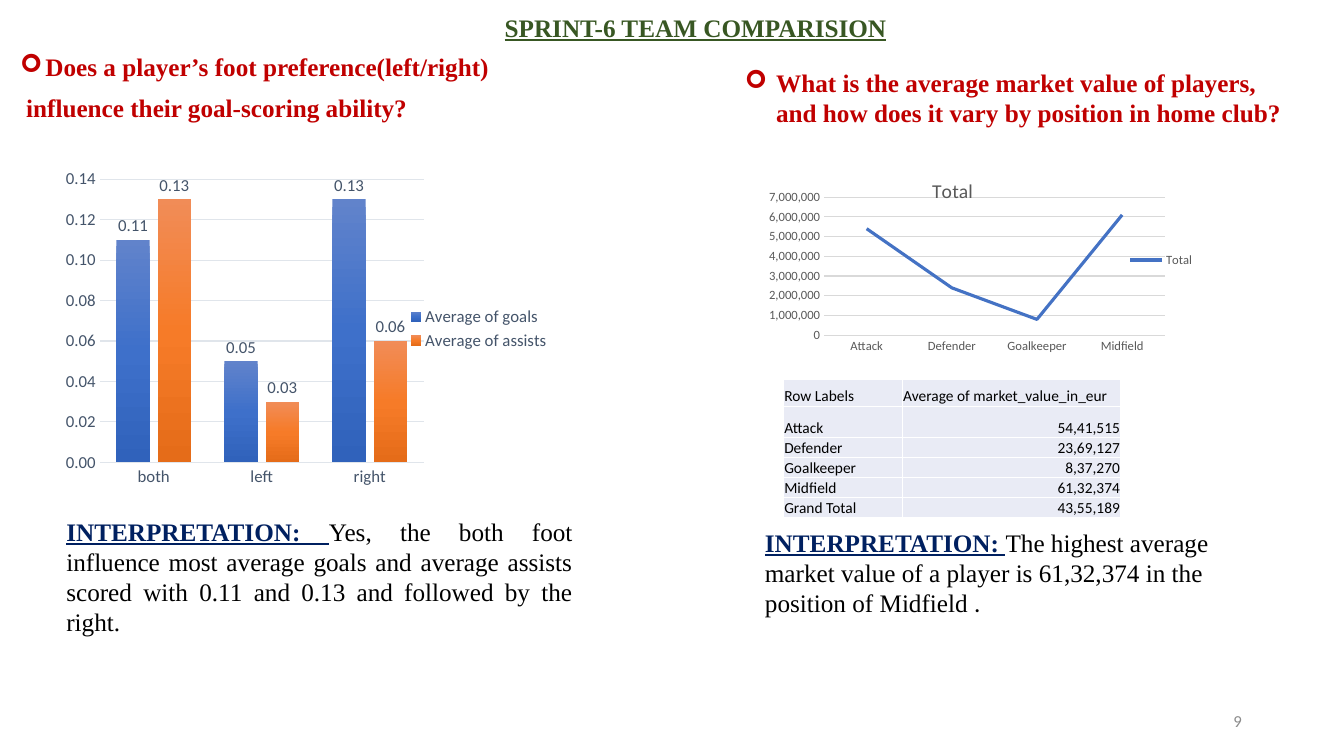
from copy import deepcopy
from dataclasses import dataclass

from lxml import etree
from pptx import Presentation
from pptx.chart.data import CategoryChartData
from pptx.dml.color import RGBColor
from pptx.enum.chart import XL_CHART_TYPE, XL_LABEL_POSITION, XL_LEGEND_POSITION, XL_TICK_MARK
from pptx.enum.text import MSO_ANCHOR, MSO_AUTO_SIZE, PP_ALIGN
from pptx.oxml.ns import qn
from pptx.util import Inches, Pt

COLUMNS, LINE = XL_CHART_TYPE.COLUMN_CLUSTERED, XL_CHART_TYPE.LINE
LEFT, CENTER, RIGHT, JUSTIFY = PP_ALIGN.LEFT, PP_ALIGN.CENTER, PP_ALIGN.RIGHT, PP_ALIGN.JUSTIFY
TOP, MIDDLE, BOTTOM = MSO_ANCHOR.TOP, MSO_ANCHOR.MIDDLE, MSO_ANCHOR.BOTTOM
NO_TICK = XL_TICK_MARK.NONE
SERIF, SANS = "Times New Roman", "Calibri"
GREEN, RED, NAVY, BLACK, GREY = "385723", "C00000", "002060", "000000", "8C8C8C"
WIDTH, HEIGHT = Inches(13.333), Inches(7.5)


@dataclass
class Place:
    """Left, top, width and height in percent of the slide."""
    left: float
    top: float
    width: float
    height: float

    def lengths(self) -> tuple[int, int, int, int]:
        return across(self.left), down(self.top), across(self.width), down(self.height)


@dataclass
class Span:
    text: str
    color: str = BLACK
    size: float = 18
    font: str = SERIF
    bold: bool = False
    underline: bool = False


@dataclass
class Para:
    spans: list[Span]
    align: PP_ALIGN = LEFT
    margin: float = 0
    bullet: str = ""
    line: float = 1
    before: float = 0


@dataclass
class ChartSpec:
    kind: XL_CHART_TYPE
    place: Place
    categories: list[str]
    series: dict[str, list[float]]
    plot: tuple[float, float, float, float]
    top_value: float
    step: float
    number_format: str
    size: float
    color: str
    grid: str
    title: str = ""


def across(share: float) -> int:
    return round(WIDTH * share / 100)


def down(share: float) -> int:
    return round(HEIGHT * share / 100)


def rgb(value: str) -> RGBColor:
    return RGBColor.from_string(value)


def set_font(font, color: str, size: float, name: str = SANS, bold=False, underline=False) -> None:
    font.color.rgb = rgb(color)
    font.size, font.name, font.bold, font.underline = Pt(size), name, bold, underline


def write(frame, paras: list[Para]) -> None:
    for index, para in enumerate(paras):
        target = frame.add_paragraph() if index else frame.paragraphs[0]
        target.alignment, target.line_spacing = para.align, para.line
        target.space_before = Pt(para.before)
        props = target._p.get_or_add_pPr()
        margin = Inches(para.margin)
        props.set("marL", str(margin))
        props.set("indent", str(-margin if para.bullet else 0))
        if para.bullet:
            etree.SubElement(props, qn("a:buFont"), typeface="Wingdings")
            etree.SubElement(props, qn("a:buChar"), char=para.bullet)
        else:
            etree.SubElement(props, qn("a:buNone"))
        for span in para.spans:
            run = target.add_run()
            run.text = span.text
            set_font(run.font, span.color, span.size, span.font, span.bold, span.underline)


def fill_box(box, place: Place, paras: list[Para], anchor: MSO_ANCHOR = TOP) -> None:
    box.left, box.top, box.width, box.height = place.lengths()
    frame = box.text_frame
    frame.word_wrap, frame.auto_size = True, MSO_AUTO_SIZE.NONE
    frame.vertical_anchor = anchor
    write(frame, paras)


def add_text(page, place: Place, paras: list[Para], anchor: MSO_ANCHOR = TOP) -> None:
    fill_box(page.shapes.add_textbox(*place.lengths()), place, paras, anchor)


def set_gradient(series, colors: list[str]) -> None:
    fill = series.format.fill
    fill.gradient()
    fill.gradient_angle = 270
    stops = series._element.find(".//" + qn("a:gsLst"))
    stops.append(deepcopy(stops[0]))
    for index, (stop, color) in enumerate(zip(fill.gradient_stops, colors)):
        stop.position = index / 2
        stop.color.rgb = rgb(color)


def place_plot(chart, shares: tuple[float, float, float, float]) -> None:
    area = chart._chartSpace.find(".//" + qn("c:plotArea"))
    for old in area.findall(qn("c:layout")):
        area.remove(old)
    layout = etree.Element(qn("c:layout"))
    area.insert(0, layout)
    manual = etree.SubElement(layout, qn("c:manualLayout"))
    settings = [("layoutTarget", "inner"), ("xMode", "edge"), ("yMode", "edge"), *zip("xywh", shares)]
    for tag, value in settings:
        etree.SubElement(manual, qn("c:" + tag), val=str(value))


def draw_chart(page, spec: ChartSpec):
    data = CategoryChartData(number_format=spec.number_format)
    data.categories = spec.categories
    for name, values in spec.series.items():
        data.add_series(name, values)
    chart = page.shapes.add_chart(spec.kind, *spec.place.lengths(), data).chart
    set_font(chart.font, spec.color, spec.size)
    place_plot(chart, spec.plot)
    chart.has_title = bool(spec.title)
    if spec.title:
        run = chart.chart_title.text_frame.paragraphs[0].add_run()
        run.text = spec.title
        set_font(run.font, spec.color, 14)
    chart.has_legend = True
    chart.legend.position = XL_LEGEND_POSITION.RIGHT
    chart.legend.include_in_layout = False
    for axis in (chart.category_axis, chart.value_axis):
        axis.major_tick_mark = axis.minor_tick_mark = NO_TICK
        set_font(axis.tick_labels.font, spec.color, spec.size)
    values = chart.value_axis
    values.minimum_scale, values.maximum_scale, values.major_unit = 0, spec.top_value, spec.step
    values.tick_labels.number_format = spec.number_format
    values.tick_labels.number_format_is_linked = False
    values.format.line.fill.background()
    for line in (chart.category_axis.format.line, values.major_gridlines.format.line):
        line.color.rgb, line.width = rgb(spec.grid), Pt(0.75)
    chart.plots[0].vary_by_categories = False
    return chart


def draw_table(page, place: Place, widths: list[float], heights: list[float], rows: list[tuple]) -> None:
    table = page.shapes.add_table(len(rows), len(widths), *place.lengths()).table
    table.first_row = table.horz_banding = False
    for column, width in zip(table.columns, widths):
        column.width = across(width)
    for y, (height, texts) in enumerate(zip(heights, rows)):
        table.rows[y].height = down(height)
        for x, text in enumerate(texts):
            cell = table.cell(y, x)
            cell.margin_left = cell.margin_right = cell.margin_top = Inches(0.01)
            cell.margin_bottom, cell.vertical_anchor = 0, BOTTOM
            cell.fill.solid()
            cell.fill.fore_color.rgb = rgb("E9EBF5")
            write(cell.text_frame, [Para([Span(text, size=11, font=SANS)], RIGHT if x and y else LEFT)])
            for index, side in enumerate(("lnL", "lnR", "lnT", "lnB")):
                border = etree.Element(qn("a:" + side), w=str(Pt(1)))
                solid = etree.SubElement(border, qn("a:solidFill"))
                etree.SubElement(solid, qn("a:srgbClr"), val="FFFFFF")
                cell._tc.get_or_add_tcPr().insert(index, border)


def main() -> None:
    deck = Presentation()
    deck.slide_width, deck.slide_height = WIDTH, HEIGHT
    page = deck.slides.add_slide(deck.slide_layouts[1])

    # Title and first question
    title = Span("SPRINT-6 TEAM COMPARISION", GREEN, bold=True, underline=True)
    fill_box(page.shapes.title, Place(33, 0.93, 37.5, 5.33), [Para([title], CENTER)], MIDDLE)
    fill_box(page.placeholders[1], Place(0.75, 6.53, 48, 12), [
        Para([Span("Does a player’s foot preference(left/right)", RED, bold=True)], LEFT, 0.25, "➢", 0.9),
        Para([Span("influence their goal-scoring ability?", RED, bold=True)], LEFT, 0.06, "", 0.9, 10)])

    # Second question
    question = "What is the average market value of players, and how does it vary by position in home club?"
    add_text(page, Place(54.68, 8.27, 41.85, 9.47),
             [Para([Span(question, RED, bold=True)], margin=0.31, bullet="➢")])

    # Goals and assists by foot
    foot = draw_chart(page, ChartSpec(
        COLUMNS, Place(4.2, 21.2, 37.5, 44.53), ["both", "left", "right"],
        {"Average of goals": [0.11, 0.05, 0.13], "Average of assists": [0.13, 0.03, 0.06]},
        (0.086, 0.056, 0.643, 0.842), 0.14, 0.02, "0.00", 12, "44546A", "E0E5EB"))
    bars = foot.plots[0]
    bars.gap_width, bars.overlap = 100, -24
    gradients = [["6183CB", "3E70CA", "3062BB"], ["F18C57", "F67B28", "E56C19"]]
    for series, colors in zip(bars.series, gradients):
        set_gradient(series, colors)
        labels = series.data_labels
        labels.show_value, labels.position = True, XL_LABEL_POSITION.OUTSIDE_END
        labels.number_format, labels.number_format_is_linked = "0.00", False
        set_font(labels.font, "44546A", 12)

    # Market value by position
    market = draw_chart(page, ChartSpec(
        LINE, Place(52.13, 21.73, 37.5, 25.33), ["Attack", "Defender", "Goalkeeper", "Midfield"],
        {"Total": [5400000, 2400000, 800000, 6100000]}, (0.245, 0.172, 0.676, 0.721),
        7000000, 1000000, "#,##0", 9, "595959", "D9D9D9", "Total"))
    total = market.plots[0].series[0]
    total.smooth = False
    total.format.line.color.rgb, total.format.line.width = rgb("4472C4"), Pt(2.25)
    draw_table(page, Place(58.28, 50.13, 25.13, 17.87), [8.85, 16.28], [3.6, 4.13] + [2.53] * 4, [
        ("Row Labels", "Average of market_value_in_eur"), ("Attack", "54,41,515"),
        ("Defender", "23,69,127"), ("Goalkeeper", "8,37,270"),
        ("Midfield", "61,32,374"), ("Grand Total", "43,55,189")])

    # Interpretations and page number
    lead = Span("INTERPRETATION: ", NAVY, bold=True, underline=True)
    finding = ("Yes, the both foot influence most average goals and average assists "
               "scored with 0.11 and 0.13 and followed by the right.")
    add_text(page, Place(4.2, 67.6, 39.15, 17.47), [Para([lead, Span(finding)], JUSTIFY)])
    finding = "The highest average market value of a player is 61,32,374 in the position of Midfield "
    add_text(page, Place(56.18, 69.07, 36, 13.47), [Para([lead, Span(finding), Span(".", font=SANS)])])
    add_text(page, Place(70.65, 92.67, 22.5, 5.33), [Para([Span("9", GREY, 12, SANS)], RIGHT)], MIDDLE)
    deck.save("out.pptx")


if __name__ == "__main__":
    main()
